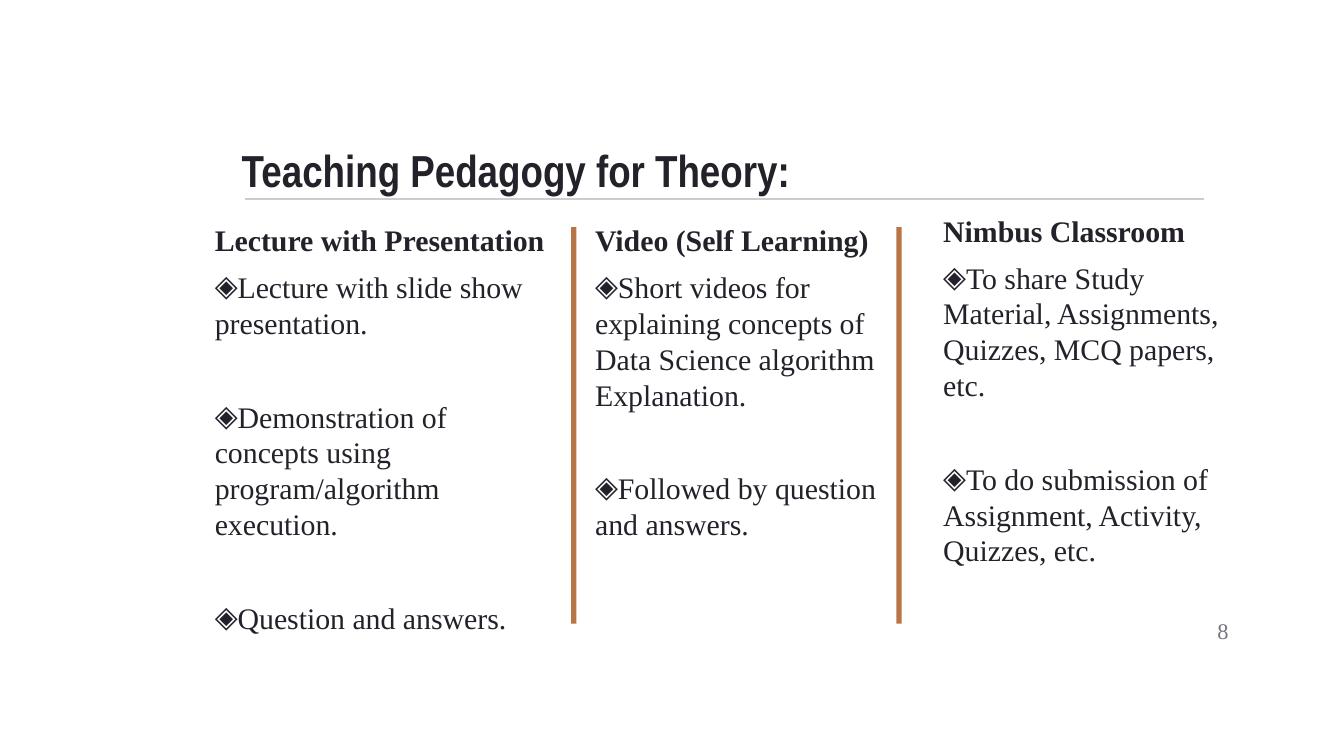
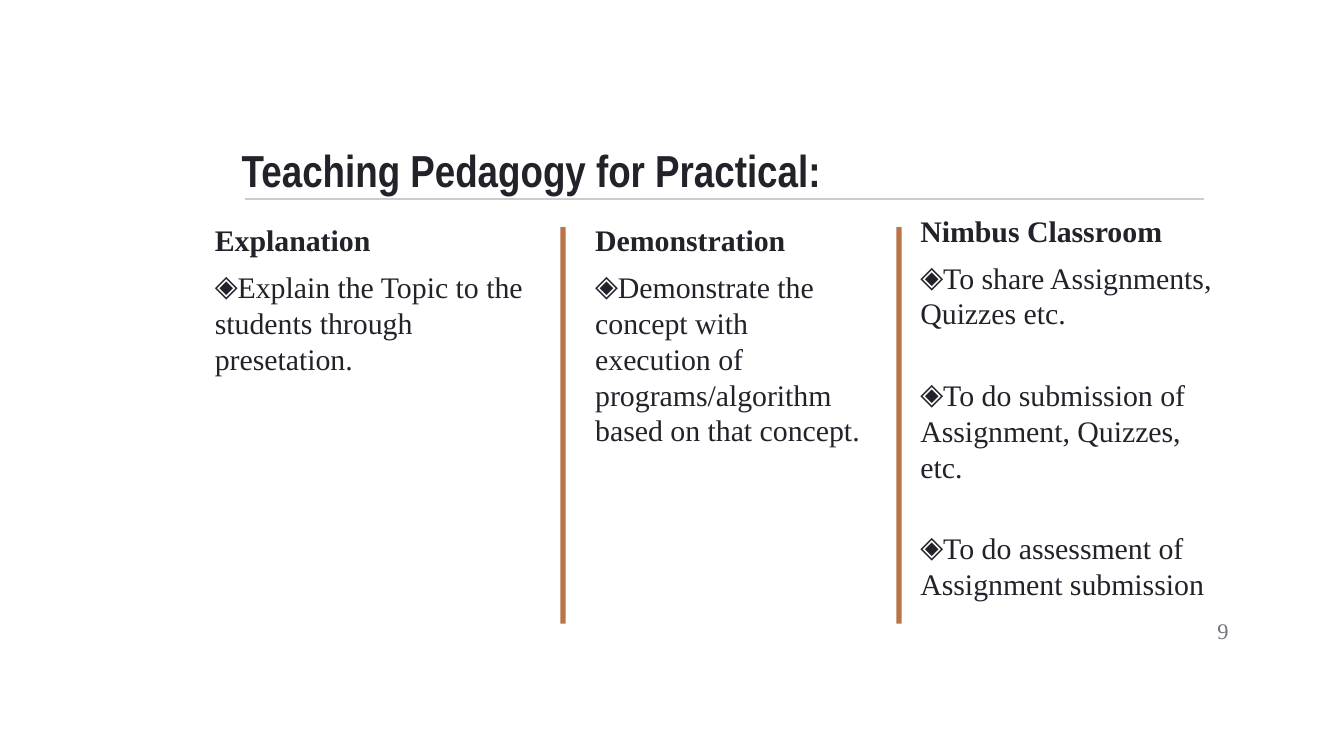
import dataclasses
import typing

import pptx
import pptx.dml.color
import pptx.enum.shapes
import pptx.enum.text
import pptx.oxml.ns
import pptx.slide
import pptx.text.text
import pptx.util
from lxml import etree

Inches = pptx.util.Inches
Pt = pptx.util.Pt

INK = "25212A"
MUTED = "797281"
RULE = "CCCCCC"
ACCENT = "B87647"
HEADING_FONT = "Arial Narrow"
BODY_FONT = "Times New Roman"

TITLE_STYLE = {"size": Pt(24), "name": HEADING_FONT, "bold": True}
COLUMN_HEADING_STYLE = {"size": Pt(16), "name": BODY_FONT, "bold": True}
POINT_STYLE = {"size": Pt(16), "name": BODY_FONT, "bold": False}
PAGE_NUMBER_STYLE = {"size": Pt(12), "name": BODY_FONT, "bold": False}

SLIDE_WIDTH = Inches(10)
SLIDE_HEIGHT = SLIDE_WIDTH * 9 // 16
FIRST_PAGE = 8
PARAGRAPH_GAP = 6


@dataclasses.dataclass(frozen=True)
class Box:
    left: float
    top: float
    width: float
    height: float

    def lengths(self) -> tuple[pptx.util.Length, ...]:
        return tuple(Inches(value) for value in dataclasses.astuple(self))


@dataclasses.dataclass(frozen=True)
class Column:
    box: Box
    heading: str
    points: tuple[str, ...]
    point_gap: float = 31


@dataclasses.dataclass(frozen=True)
class Page:
    title: str
    columns: tuple[Column, ...]
    divider_lefts: tuple[float, ...]


TITLE_BOX = Box(1.7, 0.79, 7.24, 0.77)
PAGE_NUMBER_BOX = Box(8.64, 4.48, 0.6, 0.43)
LEFT_BOX = Box(1.5, 1.55, 2.75, 3.34)

PAGES = (
    Page(
        "Teaching Pedagogy for Theory:",
        (
            Column(LEFT_BOX, "Lecture with Presentation", (
                "Lecture with slide show presentation.",
                "Demonstration of concepts using program/algorithm execution.",
                "Question and answers.",
            )),
            Column(Box(4.33, 1.55, 2.33, 3.18), "Video (Self Learning)", (
                "Short videos for explaining concepts of Data Science algorithm Explanation.",
                "Followed by question and answers.",
            )),
            Column(Box(6.92, 1.48, 2.33, 3.26), "Nimbus Classroom", (
                "To share Study Material, Assignments, Quizzes, MCQ papers, etc.",
                "To do submission of Assignment, Activity, Quizzes, etc.",
            )),
        ),
        (4.25, 6.67),
    ),
    Page(
        "Teaching Pedagogy for Practical:",
        (
            Column(LEFT_BOX, "Explanation", (
                "Explain the Topic to the students through presetation.",
            )),
            Column(Box(4.33, 1.55, 2.25, 3.18), "Demonstration", (
                "Demonstrate the concept with execution of programs/algorithm "
                "based on that concept.",
            )),
            Column(Box(6.75, 1.48, 2.5, 3.26), "Nimbus Classroom", (
                "To share Assignments, Quizzes etc.",
                "To do submission of Assignment, Quizzes, etc.",
                "To do assessment of Assignment submission",
            ), point_gap=24.5),
        ),
        (4.17, 6.67),
    ),
)


def rgb(color: str) -> pptx.dml.color.RGBColor:
    return pptx.dml.color.RGBColor.from_string(color)


def add_text_frame(
    slide: pptx.slide.Slide,
    box: Box,
    anchor: pptx.enum.text.MSO_ANCHOR = pptx.enum.text.MSO_ANCHOR.TOP,
) -> pptx.text.text.TextFrame:
    frame = slide.shapes.add_textbox(*box.lengths()).text_frame
    frame.word_wrap = True
    frame.vertical_anchor = anchor
    for side in ("left", "top", "right", "bottom"):
        setattr(frame, f"margin_{side}", Inches(0.1))
    return frame


def write(
    paragraph: typing.Any, text: str, style: dict[str, typing.Any], color: str = INK
) -> None:
    run = paragraph.add_run()
    run.text = text
    for attribute, value in style.items():
        setattr(run.font, attribute, value)
    run.font.color.rgb = rgb(color)


def add_bullet(paragraph: typing.Any) -> None:
    """Put a diamond directly before the text, without a hanging indent."""
    qn = pptx.oxml.ns.qn
    properties = paragraph._p.get_or_add_pPr()
    properties.set("marL", "0")
    properties.set("indent", "0")
    bullet_color = etree.SubElement(properties, qn("a:buClr"))
    etree.SubElement(bullet_color, qn("a:srgbClr"), val=INK)
    etree.SubElement(properties, qn("a:buFont"), typeface=BODY_FONT)
    etree.SubElement(properties, qn("a:buChar"), char="◈")


def add_title(slide: pptx.slide.Slide, title: str) -> None:
    rule = slide.shapes.add_connector(
        pptx.enum.shapes.MSO_CONNECTOR.STRAIGHT,
        Inches(1.82), Inches(1.48), Inches(8.96), Inches(1.48),
    )
    rule.line.color.rgb = rgb(RULE)
    rule.line.width = Pt(0.75)
    etree.SubElement(rule._element.spPr, pptx.oxml.ns.qn("a:effectLst"))
    frame = add_text_frame(slide, TITLE_BOX, pptx.enum.text.MSO_ANCHOR.BOTTOM)
    write(frame.paragraphs[0], title, TITLE_STYLE)


def add_column(slide: pptx.slide.Slide, column: Column) -> None:
    frame = add_text_frame(slide, column.box)
    heading = frame.paragraphs[0]
    heading.space_before = Pt(PARAGRAPH_GAP)
    write(heading, column.heading, COLUMN_HEADING_STYLE)
    for index, text in enumerate(column.points):
        point = frame.add_paragraph()
        point.space_before = Pt(column.point_gap if index else PARAGRAPH_GAP)
        add_bullet(point)
        write(point, text, POINT_STYLE)


def add_divider(slide: pptx.slide.Slide, left: float) -> None:
    divider = slide.shapes.add_shape(
        pptx.enum.shapes.MSO_SHAPE.RECTANGLE, *Box(left, 1.69, 0.04, 2.95).lengths()
    )
    divider.shadow.inherit = False
    divider.fill.solid()
    divider.fill.fore_color.rgb = rgb(ACCENT)
    divider.line.fill.background()


def add_page_number(slide: pptx.slide.Slide, number: int) -> None:
    frame = add_text_frame(slide, PAGE_NUMBER_BOX, pptx.enum.text.MSO_ANCHOR.MIDDLE)
    paragraph = frame.paragraphs[0]
    paragraph.alignment = pptx.enum.text.PP_ALIGN.RIGHT
    write(paragraph, str(number), PAGE_NUMBER_STYLE, MUTED)


def main() -> None:
    deck = pptx.Presentation()
    deck.slide_width = SLIDE_WIDTH
    deck.slide_height = SLIDE_HEIGHT
    blank_layout = deck.slide_layouts[6]
    for number, page in enumerate(PAGES, start=FIRST_PAGE):
        slide = deck.slides.add_slide(blank_layout)
        add_title(slide, page.title)
        for column in page.columns:
            add_column(slide, column)
        add_page_number(slide, number)
        for left in page.divider_lefts:
            add_divider(slide, left)
    deck.save("out.pptx")


if __name__ == "__main__":
    main()
